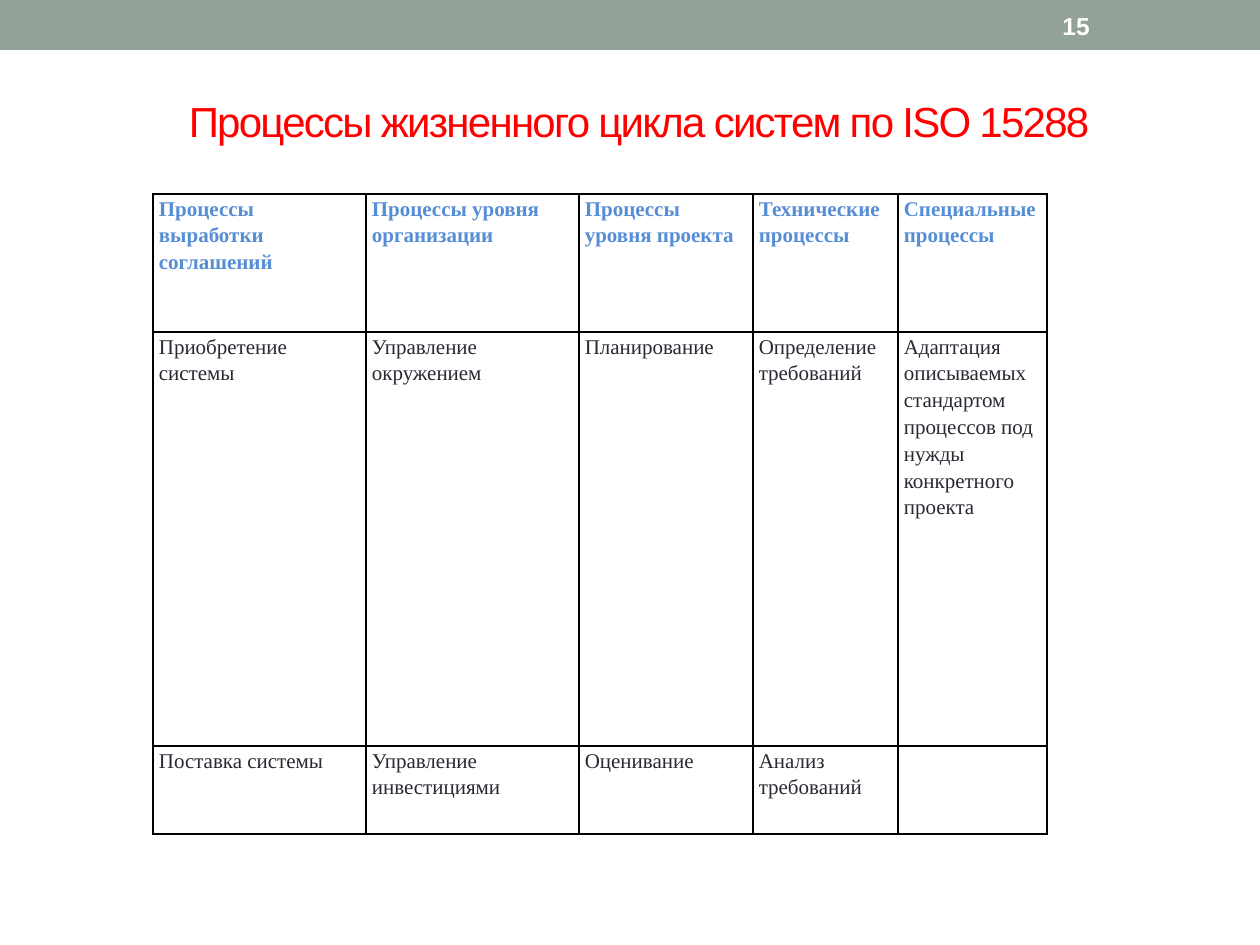
from lxml import etree
from pptx import Presentation
from pptx.dml.color import RGBColor
from pptx.enum.shapes import MSO_SHAPE
from pptx.enum.text import MSO_ANCHOR, MSO_AUTO_SIZE, PP_ALIGN
from pptx.oxml.ns import qn
from pptx.util import Pt

# Content
TITLE = "Процессы жизненного цикла систем по ISO 15288"
NUMBER = "15"
ROWS = [
    ["Процессы выработки соглашений", "Процессы уровня организации",
     "Процессы уровня проекта", "Технические процессы", "Специальные процессы"],
    ["Приобретение системы", "Управление окружением", "Планирование",
     "Определение требований",
     "Адаптация описываемых стандартом процессов под нужды конкретного проекта"],
    ["Поставка системы", "Управление инвестициями", "Оценивание",
     "Анализ требований", ""],
]

# Layout in px
SLIDE = (1260, 945)
BAR = (0, 0, 1260, 50)
TITLE_BOX = (64, 66, 1150, 110)
NUMBER_BOX = (1050, 3, 147, 45)
TABLE_AT = (153, 194)
COLS = [213, 213, 174, 145, 149]
HEIGHTS = [138, 414, 88]
CELL_INSET = 6

THEME = {
    "bar": "93A299",
    "border": "000000",
    "title": {"name": "Arial", "size": 24, "color": "FF0000", "bold": False},
    "number": {"name": "Arial", "size": 14, "color": "FFFFFF", "bold": True},
    "head": {"name": "Times New Roman", "size": 12, "color": "558ED5", "bold": True},
    "body": {"name": "Times New Roman", "size": 12, "color": "292934", "bold": False},
}


def px(n):
    return round(n * 914400 / 126)


def write(tf, text, style, align=PP_ALIGN.LEFT, spacing=1.0):
    p = tf.paragraphs[0]
    p.alignment, p.line_spacing = align, spacing
    r = p.add_run()
    r.text = text
    font = THEME[style]
    r.font.name, r.font.bold = font["name"], font["bold"]
    r.font.size = Pt(font["size"])
    r.font.color.rgb = RGBColor.from_string(font["color"])
    return r


def add_borders(cell):
    tc_pr = cell._tc.get_or_add_tcPr()
    for i, side in enumerate(("lnL", "lnR", "lnT", "lnB")):
        ln = etree.Element(qn(f"a:{side}"), w=str(Pt(1)))
        fill = etree.SubElement(ln, qn("a:solidFill"))
        etree.SubElement(fill, qn("a:srgbClr"), val=THEME["border"])
        tc_pr.insert(i, ln)


prs = Presentation()
prs.slide_width, prs.slide_height = map(px, SLIDE)
s = prs.slides.add_slide(prs.slide_layouts[5])

# Top bar
bar = s.shapes.add_shape(MSO_SHAPE.RECTANGLE, *map(px, BAR))
bar.shadow.inherit = False
bar.fill.solid()
bar.fill.fore_color.rgb = RGBColor.from_string(THEME["bar"])
bar.line.fill.background()

# Title
title = s.shapes.title
title.left, title.top, title.width, title.height = map(px, TITLE_BOX)
tf = title.text_frame
tf.auto_size, tf.vertical_anchor = MSO_AUTO_SIZE.NONE, MSO_ANCHOR.MIDDLE
r = write(tf, TITLE, "title", PP_ALIGN.CENTER)
r.font._element.set("spc", "-100")

# Process table
table = s.shapes.add_table(len(ROWS), len(COLS), *map(px, TABLE_AT),
                           px(sum(COLS)), px(sum(HEIGHTS))).table
table.first_row = table.horz_banding = False
for col, width in zip(table.columns, COLS):
    col.width = px(width)
for row, height, texts in zip(table.rows, HEIGHTS, ROWS):
    row.height = px(height)
    style = "head" if texts is ROWS[0] else "body"
    for cell, text in zip(row.cells, texts):
        cell.margin_left = cell.margin_right = px(CELL_INSET)
        cell.margin_top = cell.margin_bottom = 0
        cell.fill.background()
        add_borders(cell)
        if text:
            write(cell.text_frame, text, style, spacing=1.15)

# Slide number
tf = s.shapes.add_textbox(*map(px, NUMBER_BOX)).text_frame
tf.word_wrap, tf.vertical_anchor = True, MSO_ANCHOR.MIDDLE
write(tf, NUMBER, "number")

prs.save("out.pptx")
